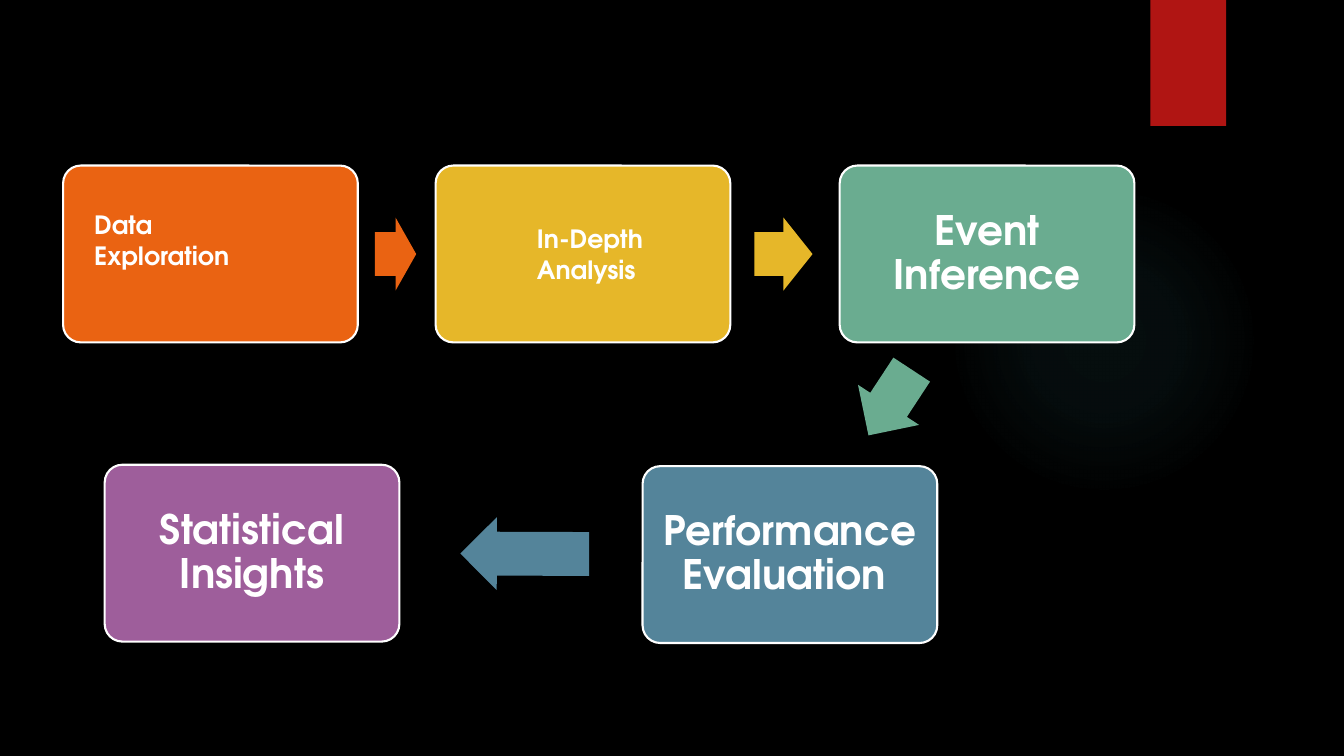
from lxml import etree
from pptx import Presentation
from pptx.dml.color import RGBColor
from pptx.enum.shapes import MSO_SHAPE as SHAPE
from pptx.enum.text import MSO_ANCHOR as ANCHOR, PP_ALIGN as ALIGN
from pptx.oxml import parse_xml
from pptx.oxml.ns import nsdecls, qn
from pptx.util import Pt

FONT = "TeX Gyre Adventor"
WHITE = "FFFFFF"
ORANGE, YELLOW, GREEN, BLUE, PURPLE = "EA6312", "E6B729", "6AAC90", "54849A", "9E5E9B"


def color(hex_code):
    return RGBColor.from_string(hex_code)


def add_text(tf, text, size=29, align=ALIGN.CENTER, anchor=ANCHOR.MIDDLE,
             spacing=0.9, margins=(6, 12)):
    tf.word_wrap = True
    tf.vertical_anchor = anchor
    tf.margin_left = tf.margin_right = Pt(margins[0])
    tf.margin_top = tf.margin_bottom = Pt(margins[1])
    p = tf.paragraphs[0]
    p.alignment = align
    p.line_spacing = spacing
    r = p.add_run()
    r.text = text
    r.font.name = FONT
    r.font.size = Pt(size)
    r.font.bold = True
    r.font.color.rgb = color(WHITE)


def add_shape(s, kind, left, top, width, height, fill):
    sp = s.shapes.add_shape(kind, Pt(left), Pt(top), Pt(width), Pt(height))
    sp.shadow.inherit = False
    sp.fill.solid()
    sp.fill.fore_color.rgb = color(fill)
    sp.line.fill.background()
    return sp


def add_glow(s, left, top, size, tint):
    sp = add_shape(s, SHAPE.OVAL, left, top, size, size, tint)
    grad = parse_xml(f'<a:gradFill {nsdecls("a")} rotWithShape="1"><a:gsLst/></a:gradFill>')
    for pos, alpha in ((0, 7), (36, 6), (69, 0)):
        gs = etree.SubElement(grad[0], qn("a:gs"), pos=str(pos * 1000))
        clr = etree.SubElement(gs, qn("a:srgbClr"), val=tint)
        etree.SubElement(clr, qn("a:alpha"), val=str(alpha * 1000))
    focus = etree.SubElement(grad, qn("a:path"), {"path": "circle"})
    etree.SubElement(focus, qn("a:fillToRect"), l="50000", t="50000", r="50000", b="50000")
    props = sp.element.spPr
    props.replace(props.find(qn("a:solidFill")), grad)


def add_step(s, left, top, fill, text=None):
    sp = add_shape(s, SHAPE.ROUNDED_RECTANGLE, left, top, 210.5, 126.3, fill)
    sp.adjustments[0] = 0.1
    sp.line.color.rgb = color(WHITE)
    sp.line.width = Pt(1.5)
    if text:
        add_text(sp.text_frame, text)


def add_arrow(s, left, top, width, fill, rotation=0):
    sp = add_shape(s, SHAPE.RIGHT_ARROW, left, top, width, 52.2, fill)
    sp.adjustments[0] = 0.6
    sp.adjustments[1] = 0.5
    sp.rotation = rotation


def add_label(s, left, top, width, text):
    sp = s.shapes.add_textbox(Pt(left), Pt(top), Pt(width), Pt(51))
    add_text(sp.text_frame, text, size=18, align=ALIGN.LEFT, anchor=ANCHOR.TOP,
             spacing=None, margins=(7.2, 3.6))


def main():
    prs = Presentation()
    prs.slide_width, prs.slide_height = Pt(960), Pt(540)
    s = prs.slides.add_slide(prs.slide_layouts[6])
    s.background.fill.solid()
    s.background.fill.fore_color.rgb = color("000000")

    add_glow(s, 677.5, 131.8, 221.8, "50B9C1")
    add_shape(s, SHAPE.RECTANGLE, 821.8, 0, 54, 90, "B01513")

    for left, top, fill, text in (
        (45.1, 118.3, ORANGE, None),
        (311.2, 118.3, YELLOW, None),
        (599.8, 118.3, GREEN, "Event Inference"),
        (459, 333, BLUE, "Performance Evaluation "),
        (74.8, 332, PURPLE, "Statistical Insights"),
    ):
        add_step(s, left, top, fill, text)

    for left, top, width, fill, rotation in (
        (267.8, 155.4, 29.5, ORANGE, 0),
        (538.8, 155.4, 41.6, YELLOW, 0),
        (607.7, 261.4, 56.2, GREEN, 123.3),
        (328.8, 369.4, 92, BLUE, 180.2),
    ):
        add_arrow(s, left, top, width, fill, rotation)

    add_label(s, 60.2, 146.2, 131.8, "Data Exploration")
    add_label(s, 376.4, 156.2, 114.5, "In-Depth Analysis")
    prs.save("out.pptx")


if __name__ == "__main__":
    main()
